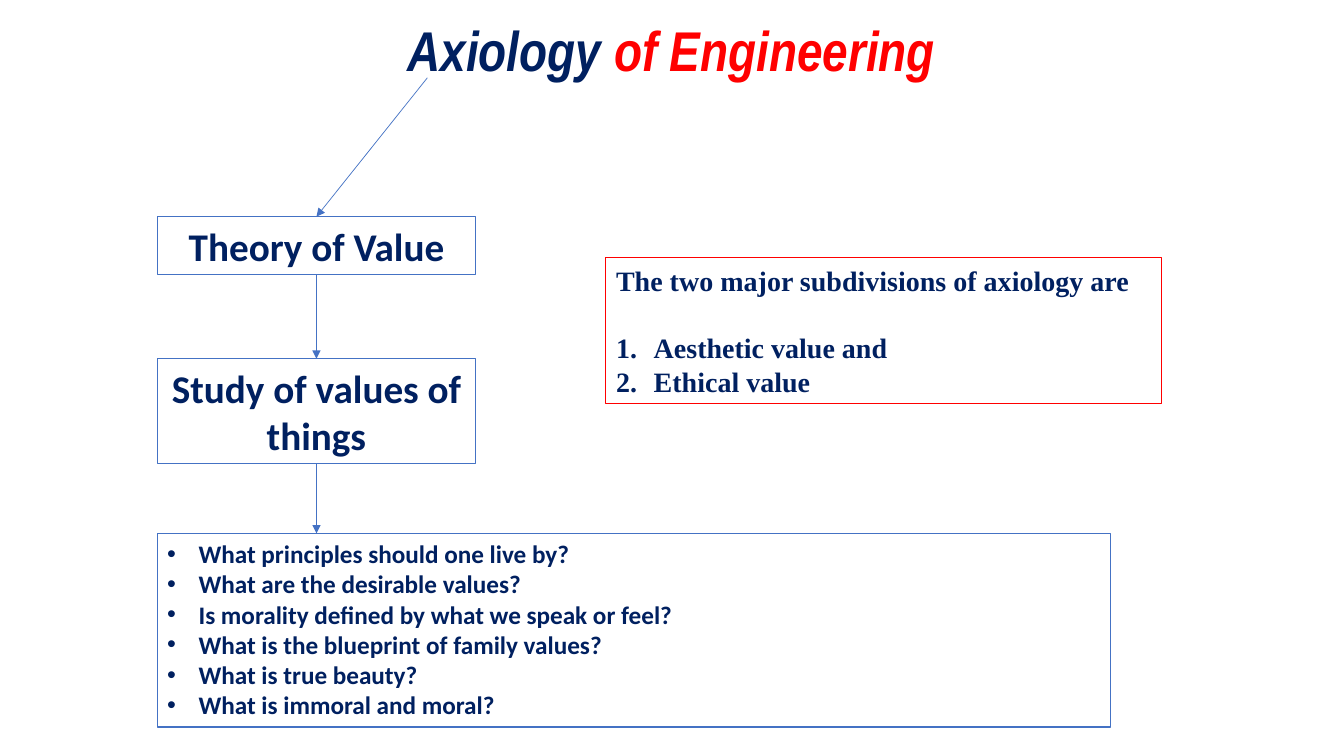
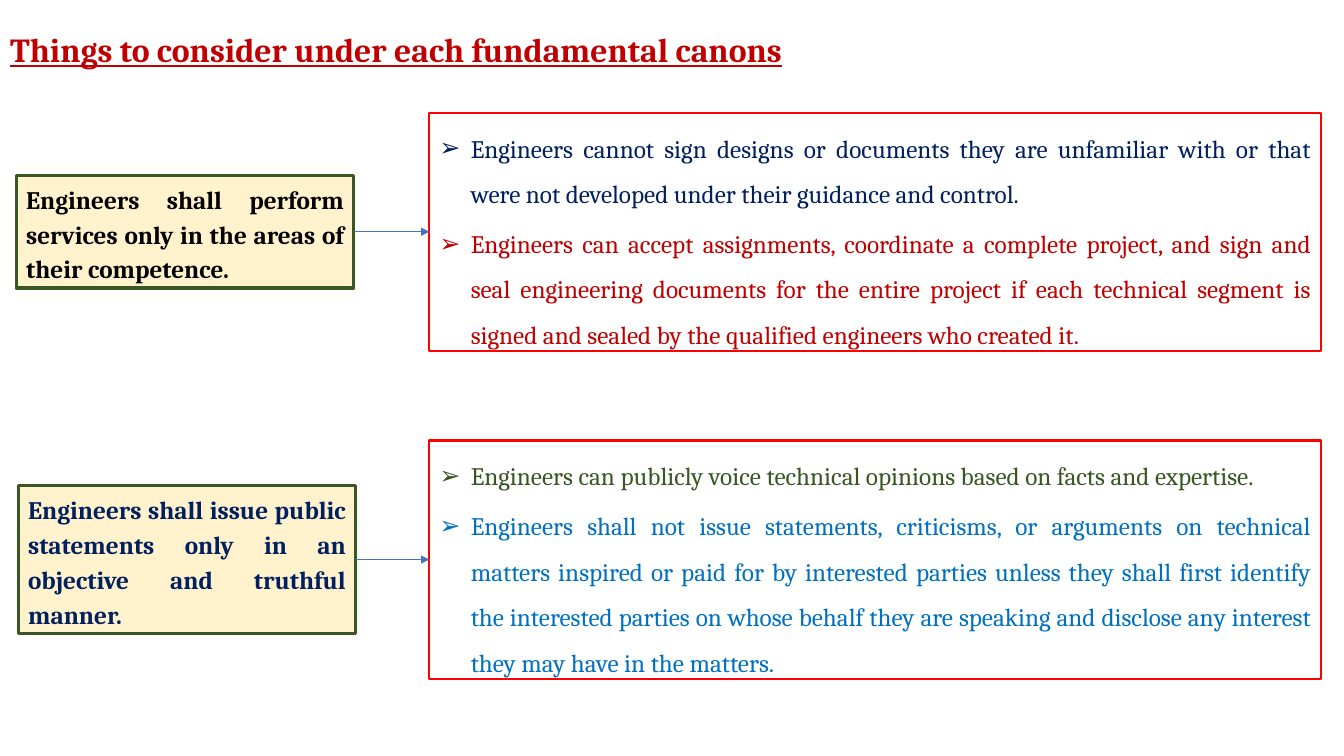
from dataclasses import dataclass

from lxml.etree import SubElement
from pptx import Presentation
from pptx.dml.color import RGBColor
from pptx.enum.shapes import MSO_CONNECTOR, MSO_SHAPE
from pptx.enum.text import MSO_ANCHOR, MSO_AUTO_SIZE, PP_ALIGN
from pptx.oxml.ns import qn
from pptx.util import Cm, Pt

TWO_CONTENT = 3
TOP, LEFT, BOTTOM, RIGHT = range(4)  # connection sites of a rectangle


@dataclass(frozen=True)
class Theme:
    navy: str = "002060"
    red: str = "FF0000"
    dark_red: str = "C00000"
    green: str = "385723"
    sky: str = "0070C0"
    blue: str = "4472C4"
    black: str = "000000"
    cream: str = "FFF2CC"
    headline: int = 40
    concept: int = 28
    heading: int = 24
    note: int = 20
    body: int = 18


THEME = Theme()


@dataclass(frozen=True)
class Style:
    """Look of a paragraph and its runs."""
    font: str
    size: int
    bold: bool = False
    italic: bool = False
    underline: bool = False
    align: PP_ALIGN = PP_ALIGN.LEFT
    spacing: float = 1.0
    after: float = 0


HEADLINE = Style("Arial Narrow", THEME.headline, bold=True, italic=True, align=PP_ALIGN.CENTER)
HEADING = Style("Cambria", THEME.heading, bold=True, underline=True, spacing=1.15, after=10)
CONCEPT = Style("Calibri", THEME.concept, bold=True, align=PP_ALIGN.CENTER)
QUESTION = Style("Calibri", THEME.body, bold=True)
NOTE = Style("Times New Roman", THEME.note, bold=True)
NOTE_LEAD = Style("Times New Roman", THEME.note, bold=True, after=24.5)
CANON = Style("Cambria", THEME.body, bold=True, align=PP_ALIGN.JUSTIFY, spacing=1.15, after=3.4)
RULE = Style("Cambria", THEME.body, align=PP_ALIGN.JUSTIFY, spacing=1.5, after=3.4)


def rgb(color):
    return RGBColor.from_string(color)


def place(shape, left, top, width, height):
    shape.left, shape.top = Cm(left), Cm(top)
    shape.width, shape.height = Cm(width), Cm(height)


def set_outline(shape, color, weight):
    shape.line.color.rgb = rgb(color)
    shape.line.width = Pt(weight)


def prepare_text(shape, anchor):
    frame = shape.text_frame
    frame.word_wrap = True
    frame.auto_size = MSO_AUTO_SIZE.NONE
    frame.vertical_anchor = anchor
    return frame


def write_paragraph(para, style, spans):
    """Fill a paragraph with runs given as (text, color) pairs."""
    para.alignment = style.align
    para.line_spacing = style.spacing
    para.space_before = Pt(0)
    para.space_after = Pt(style.after)
    for text, color in spans:
        span = para.add_run()
        span.text = text
        font = span.font
        font.name, font.size = style.font, Pt(style.size)
        font.bold, font.italic, font.underline = style.bold, style.italic, style.underline
        font.color.rgb = rgb(color)


def set_marker(para, tag, indent=0.0, **attributes):
    properties = para._p.get_or_add_pPr()
    properties.set("marL", str(Cm(indent)))
    properties.set("indent", str(-Cm(indent)))
    SubElement(properties, qn(tag), attributes)


def add_title(page, position, style, spans, anchor):
    title = page.shapes.title
    place(title, *position)
    write_paragraph(prepare_text(title, anchor).paragraphs[0], style, spans)


def add_box(page, position, style, text, color, outline, weight, fill=None):
    box = page.shapes.add_shape(MSO_SHAPE.RECTANGLE, *map(Cm, position))
    box.shadow.inherit = False
    set_outline(box, outline, weight)
    if fill:
        box.fill.solid()
        box.fill.fore_color.rgb = rgb(fill)
    else:
        box.fill.background()
    frame = prepare_text(box, MSO_ANCHOR.MIDDLE)
    write_paragraph(frame.paragraphs[0], style, [(text, color)])
    return box


def add_list(page, index, position, style, items, outline, weight, marker, lead=None):
    """Turn a body placeholder into an outlined list, after an optional lead line."""
    body = page.placeholders[index]
    place(body, *position)
    set_outline(body, outline, weight)
    frame = prepare_text(body, MSO_ANCHOR.TOP)
    para = frame.paragraphs[0]
    if lead:
        write_paragraph(para, NOTE_LEAD, [lead])
        set_marker(para, "a:buNone")
        para = frame.add_paragraph()
    for number, item in enumerate(items):
        if number:
            para = frame.add_paragraph()
        write_paragraph(para, style, [item])
        set_marker(para, **marker)
    return body


def add_arrow(page, start, end):
    """Draw an arrow; each end is a (shape, site) pair or a point in cm."""
    arrow = page.shapes.add_connector(MSO_CONNECTOR.STRAIGHT, 0, 0, 0, 0)
    if isinstance(start[0], float):
        arrow.begin_x, arrow.begin_y = map(Cm, start)
    else:
        arrow.begin_connect(*start)
    if isinstance(end[0], float):
        arrow.end_x, arrow.end_y = map(Cm, end)
    else:
        arrow.end_connect(*end)
    set_outline(arrow, THEME.blue, 0.5)
    SubElement(arrow.line._get_or_add_ln(), qn("a:tailEnd"), type="triangle")
    SubElement(arrow._element.spPr, qn("a:effectLst"))


def build_axiology(deck):
    page = deck.slides.add_slide(deck.slide_layouts[TWO_CONTENT])
    add_title(page, (8.46, 0.25, 16.92, 1.96), HEADLINE,
              [("Axiology ", THEME.navy), ("of Engineering", THEME.red)], MSO_ANCHOR.MIDDLE)

    left, width, list_top = 3.96, 8.03, 13.44
    theory, study = [
        add_box(page, (left, top, width, height), CONCEPT, text, THEME.navy, THEME.blue, 0.75)
        for text, top, height in (("Theory of Value", 5.46, 1.45),
                                  ("Study of values of things", 9.04, 2.64))
    ]
    add_list(page, 1, (15.27, 6.5, 14, 3.68), NOTE,
             [("Aesthetic value and", THEME.navy), ("Ethical value", THEME.navy)],
             THEME.red, 0.75, dict(tag="a:buAutoNum", indent=0.95, type="arabicPeriod"),
             lead=("The two major subdivisions of axiology are", THEME.navy))
    questions = (
        "What principles should one live by?",
        "What are the desirable values?",
        "Is morality defined by what we speak or feel?",
        "What is the blueprint of family values?",
        "What is true beauty?",
        "What is immoral and moral?",
    )
    add_list(page, 2, (left, list_top, 24.03, 4.88), QUESTION,
             [(question, THEME.navy) for question in questions],
             THEME.blue, 0.75, dict(tag="a:buChar", indent=0.79, char="•"))

    add_arrow(page, (10.77, 1.96), (theory, TOP))
    add_arrow(page, (theory, BOTTOM), (study, TOP))
    add_arrow(page, (study, BOTTOM), (left + width / 2, list_top))


def add_canon(page, index, left, middle, height, canon, rules):
    """Add a canon box with an arrow to its list of rules, centred on one height."""
    list_height = 6
    box = add_box(page, (left, middle - height / 2, 8.51, height), CANON, *canon,
                  THEME.green, 2.25, THEME.cream)
    body = add_list(page, index, (10.82, middle - list_height / 2, 22.48, list_height), RULE,
                    rules, THEME.red, 1.5, dict(tag="a:buChar", indent=0.79, char="➢"))
    add_arrow(page, (box, RIGHT), (body, LEFT))


def build_canons(deck):
    page = deck.slides.add_slide(deck.slide_layouts[TWO_CONTENT])
    add_title(page, (0, 0.46, 24.77, 1.35), HEADING,
              [("Things to consider under each fundamental canons", THEME.dark_red)],
              MSO_ANCHOR.TOP)
    add_canon(page, 1, 0.41, 5.84, 2.84, (
        "Engineers shall perform services only in the areas of their competence.",
        THEME.black,
    ), [
        ("Engineers cannot sign designs or documents they are unfamiliar with or that were "
         "not developed under their guidance and control.", THEME.navy),
        ("Engineers can accept assignments, coordinate a complete project, and sign and seal "
         "engineering documents for the entire project if each technical segment is signed "
         "and sealed by the qualified engineers who created it.", THEME.dark_red),
    ])
    add_canon(page, 2, 0.46, 14.1, 3.73, (
        "Engineers shall issue public statements only in an objective and truthful manner.",
        THEME.navy,
    ), [
        ("Engineers can publicly voice technical opinions based on facts and expertise.",
         THEME.green),
        ("Engineers shall not issue statements, criticisms, or arguments on technical matters "
         "inspired or paid for by interested parties unless they shall first identify the "
         "interested parties on whose behalf they are speaking and disclose any interest they "
         "may have in the matters.", THEME.sky),
    ])


def main():
    deck = Presentation()
    deck.slide_width, deck.slide_height = Cm(33.87), Cm(19.05)
    build_axiology(deck)
    build_canons(deck)
    deck.save("out.pptx")


if __name__ == "__main__":
    main()
